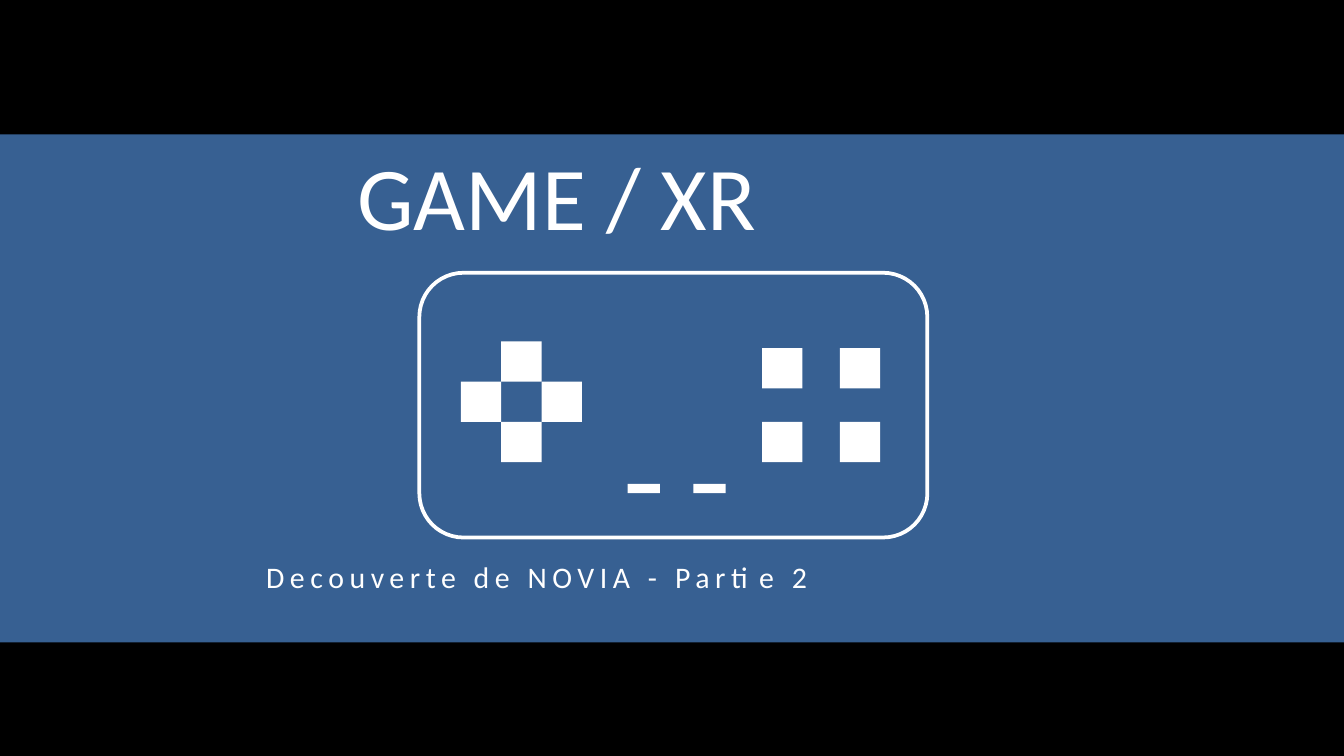
from pptx import Presentation
from pptx.dml.color import RGBColor
from pptx.enum.shapes import MSO_SHAPE
from pptx.enum.text import MSO_ANCHOR, MSO_AUTO_SIZE, PP_ALIGN
from pptx.util import Inches, Pt

RECTANGLE, ROUNDED = MSO_SHAPE.RECTANGLE, MSO_SHAPE.ROUNDED_RECTANGLE
TOP, LEFT, FIXED = MSO_ANCHOR.TOP, PP_ALIGN.LEFT, MSO_AUTO_SIZE.NONE
COLORS = {"background": "000000", "band": "376092", "light": "FFFFFF"}
FONT = "Calibri"


def color(name):
    """Return the named colour."""
    return RGBColor.from_string(COLORS[name])


def add_box(slide, box, fill=None, outline=None, preset=RECTANGLE):
    """Add a flat shape with an optional fill and outline, and return it."""
    shape = slide.shapes.add_shape(preset, *map(Inches, box))
    shape.shadow.inherit = False
    if fill:
        shape.fill.solid()
        shape.fill.fore_color.rgb = color(fill)
    else:
        shape.fill.background()
    if outline:
        shape.line.color.rgb = color(outline)
        shape.line.width = Pt(2)
    else:
        shape.line.fill.background()
    return shape


def fill_placeholder(placeholder, box, text, size, spacing=0):
    """Move a placeholder to its box and set its text."""
    for name, value in zip(("left", "top", "width", "height"), box):
        setattr(placeholder, name, Inches(value))
    frame = placeholder.text_frame
    frame_format = {"word_wrap": True, "auto_size": FIXED, "vertical_anchor": TOP}
    for name, value in frame_format.items():
        setattr(frame, name, value)
    frame.text = text
    paragraph = frame.paragraphs[0]
    for name, value in {"alignment": LEFT, "space_before": Pt(0)}.items():
        setattr(paragraph, name, value)
    run = paragraph.runs[0]
    for name, value in {"name": FONT, "size": Pt(size)}.items():
        setattr(run.font, name, value)
    run.font.color.rgb = color("light")
    if spacing:
        run.font._element.set("spc", str(spacing * 100))


def add_band(slide, box):
    """Place the coloured band behind the title and subtitle."""
    left, top = box[:2]
    title, subtitle = slide.placeholders
    band = add_box(slide, box, fill="band")
    title._element.addprevious(band._element)
    fill_placeholder(title, (left + 2.56, top, 4.87, 0.91), "GAME / XR", 48)
    fill_placeholder(subtitle, (left + 1.88, top + 3.11, 6.31, 0.37),
                     "Decouverte de NOVIA - Partie 2", 16, spacing=3)


def add_gamepad(slide, box):
    """Draw the gamepad: body, direction cross, four buttons and two bars."""
    left, top = box[:2]
    button = 0.3
    add_box(slide, box, outline="light", preset=ROUNDED)
    cross = [(0.61 + column * button, 0.81 + row * button)
             for column, row in ((0, -1), (1, 0), (-1, 0), (0, 1))]
    actions = [(x, y) for y in (0.56, 1.11) for x in (2.55, 3.13)]
    for x, y in cross + actions:
        add_box(slide, (left + x, top + y, button, button), fill="light")
    for x in (1.55, 2.04):
        add_box(slide, (left + x, top + 1.57, 0.24, 0.07), fill="light")


def main():
    """Build and save the slide."""
    presentation = Presentation()
    presentation.slide_width = Inches(10)
    presentation.slide_height = presentation.slide_width * 9 // 16
    slide = presentation.slides.add_slide(presentation.slide_layouts[0])
    slide.background.fill.solid()
    slide.background.fill.fore_color.rgb = color("background")
    add_band(slide, (0, 1, 10, 3.78))
    add_gamepad(slide, (3.12, 2.03, 3.78, 1.97))
    presentation.save("out.pptx")


if __name__ == "__main__":
    main()
